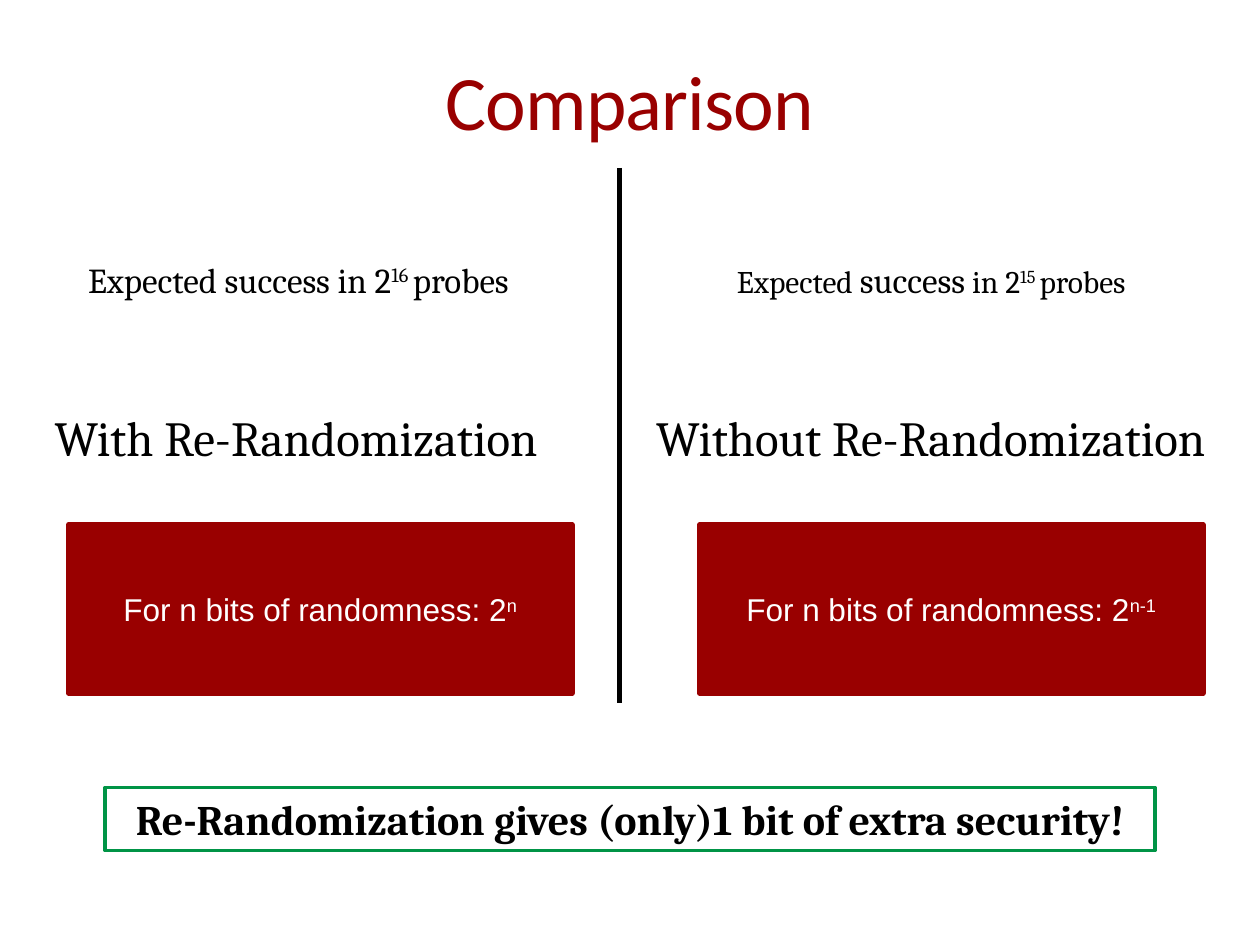
"""Build a slide comparing probe counts with and without re-randomization."""
import dataclasses
import typing

import pptx
import pptx.dml.color
import pptx.enum.shapes
import pptx.enum.text
import pptx.oxml
import pptx.util

COLUMNS, ROWS = 120, 90
SLIDE_WIDTH, SLIDE_HEIGHT = pptx.util.Inches(10), pptx.util.Inches(7.5)
BLACK, WHITE, RED, GREEN = "000000", "FFFFFF", "990000", "009446"
ANCHOR = pptx.enum.text.MSO_ANCHOR
ALIGN = pptx.enum.text.PP_ALIGN
AUTO_SIZE = pptx.enum.text.MSO_AUTO_SIZE


class Box(typing.NamedTuple):
    left: float
    top: float
    width: float
    height: float


class Span(typing.NamedTuple):
    text: str
    size: float
    raised: bool = False


@dataclasses.dataclass
class Side:
    placeholder: int
    heading: str
    heading_box: Box
    probes: list[Span]
    probes_box: Box
    exponent: str
    panel_box: Box


SIDES = [
    Side(1, "With Re-Randomization", Box(4, 38.25, 53, 6.8),
         [Span("Expected success in 2", 20), Span("16 ", 20, True), Span("probes", 20)],
         Box(7.2, 24, 46.5, 5.3), "n", Box(6.5, 50, 48, 16)),
    Side(3, "Without Re-Randomization", Box(61.3, 38.25, 58.7, 6.8),
         [Span("Expected ", 18), Span("success", 20), Span(" in 2", 18),
          Span("15 ", 18, True), Span("probes", 18)],
         Box(69, 24, 43.3, 5.3), "n-1", Box(66.6, 50, 48, 16)),
]


def rgb(value: str) -> pptx.dml.color.RGBColor:
    """Turn a hex string into a colour."""
    return pptx.dml.color.RGBColor.from_string(value)


def across(columns: float) -> int:
    """Convert grid columns to a length."""
    return round(SLIDE_WIDTH * columns / COLUMNS)


def down(rows: float) -> int:
    """Convert grid rows to a length."""
    return round(SLIDE_HEIGHT * rows / ROWS)


def measure(box: Box) -> tuple[int, int, int, int]:
    """Convert a grid box to slide lengths."""
    return across(box.left), down(box.top), across(box.width), down(box.height)


def write(shape, spans: list[Span], font_name: str, color: str, align,
          anchor, bold: bool = False) -> None:
    """Write one formatted paragraph into a shape."""
    frame = shape.text_frame
    frame.vertical_anchor = anchor
    paragraph = frame.paragraphs[0]
    paragraph.alignment = align
    font = paragraph.font
    font.name, font.bold = font_name, bold
    font.color.rgb = rgb(color)
    sizes = {span.size for span in spans}
    if len(sizes) == 1:
        font.size = pptx.util.Pt(spans[0].size)
    for span in spans:
        run = paragraph.add_run()
        run.text = span.text
        if len(sizes) > 1:
            run.font.size = pptx.util.Pt(span.size)
        if span.raised:
            run._r.get_or_add_rPr().set("baseline", "30000")


def move(shape, box: Box) -> None:
    """Place a placeholder on the grid."""
    shape.left, shape.top, shape.width, shape.height = measure(box)


def add_panel(slide, box: Box, fill: str, line: str, width: float):
    """Add a flat rectangle with an outline."""
    shape = slide.shapes.add_shape(
        pptx.enum.shapes.MSO_SHAPE.RECTANGLE, *measure(box))
    shape.shadow.inherit = False
    shape.fill.solid()
    shape.fill.fore_color.rgb = rgb(fill)
    shape.line.color.rgb = rgb(line)
    shape.line.width = pptx.util.Pt(width)
    shape.text_frame.word_wrap = True
    return shape


def add_title(slide) -> None:
    """Fill and place the title."""
    title = slide.shapes.title
    move(title, Box(6, 2, 108, 15))
    title.text_frame.margin_left = title.text_frame.margin_right = 0
    write(title, [Span("Comparison", 44)], "Calibri", RED, ALIGN.CENTER, ANCHOR.MIDDLE)
    title.text_frame.paragraphs[0].runs[0]._r.get_or_add_rPr().set("spc", "-50")


def add_divider(slide) -> None:
    """Draw the vertical line between the sides."""
    line = slide.shapes.add_connector(
        pptx.enum.shapes.MSO_CONNECTOR.STRAIGHT,
        across(59), down(16), across(59), down(67))
    line.line.color.rgb = rgb(BLACK)
    line.line.width = pptx.util.Pt(3)
    line._element.spPr.append(pptx.oxml.parse_xml(
        '<a:effectLst xmlns:a="http://schemas.openxmlformats.org/drawingml/2006/main"/>'))


def add_side(slide, side: Side) -> None:
    """Add the heading, probe count and panel of one side."""
    heading = slide.placeholders[side.placeholder]
    move(heading, side.heading_box)
    write(heading, [Span(side.heading, 28)], "Cambria", BLACK, ALIGN.LEFT, ANCHOR.MIDDLE)

    probes = slide.shapes.add_textbox(*measure(side.probes_box))
    probes.text_frame.word_wrap = False
    probes.text_frame.auto_size = AUTO_SIZE.SHAPE_TO_FIT_TEXT
    write(probes, side.probes, "Cambria", BLACK, ALIGN.LEFT, ANCHOR.TOP)

    panel = add_panel(slide, side.panel_box, RED, RED, 3)
    formula = [Span("For n bits of randomness: 2", 18), Span(side.exponent, 18, True)]
    write(panel, formula, "Arial", WHITE, ALIGN.CENTER, ANCHOR.MIDDLE)


def main() -> None:
    """Build and save the presentation."""
    presentation = pptx.Presentation()
    presentation.slide_width, presentation.slide_height = SLIDE_WIDTH, SLIDE_HEIGHT
    slide = presentation.slides.add_slide(
        presentation.slide_layouts.get_by_name("Comparison"))
    for index in (2, 4):
        element = slide.placeholders[index]._element
        element.getparent().remove(element)
    add_title(slide)
    add_divider(slide)
    for side in SIDES:
        add_side(slide, side)
    banner = add_panel(slide, Box(10, 75, 100, 6), WHITE, GREEN, 2)
    write(banner, [Span("Re-Randomization gives (only)1 bit of extra security!", 24)],
          "Cambria", BLACK, ALIGN.CENTER, ANCHOR.TOP, bold=True)
    presentation.save("out.pptx")


if __name__ == "__main__":
    main()
